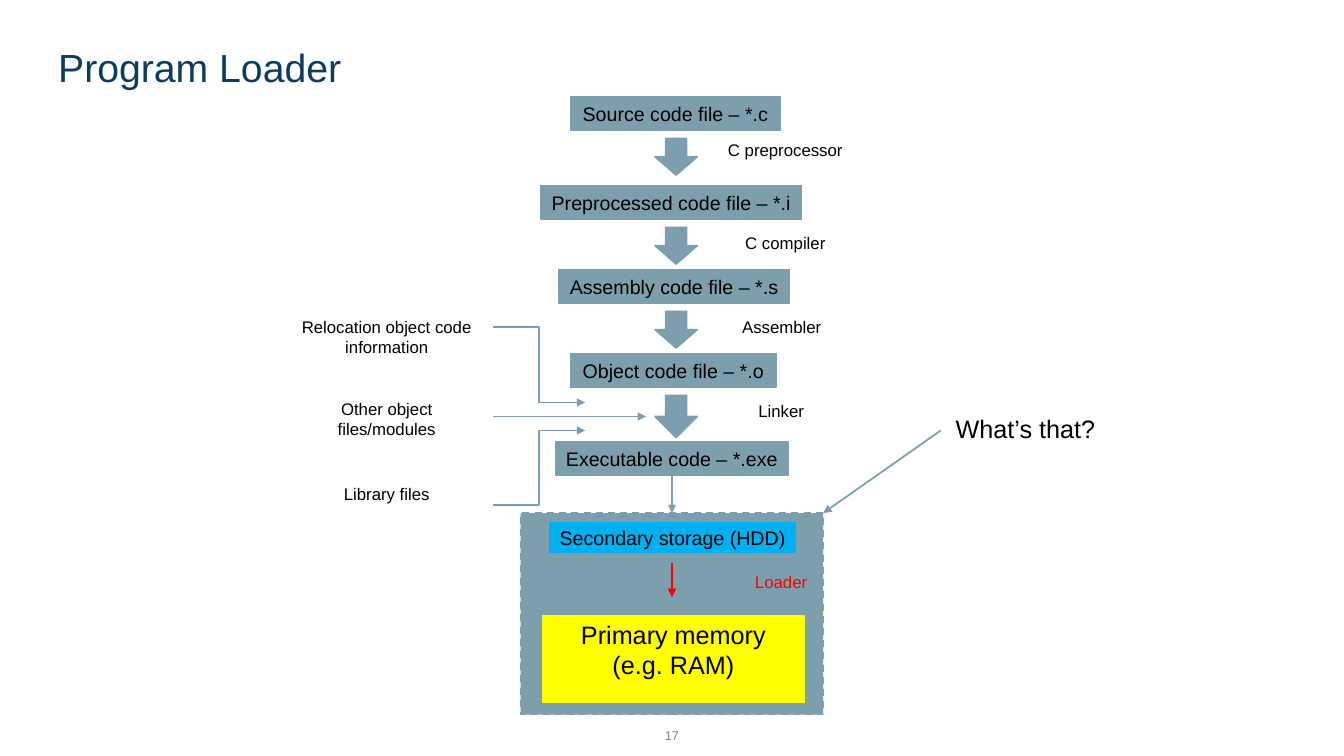
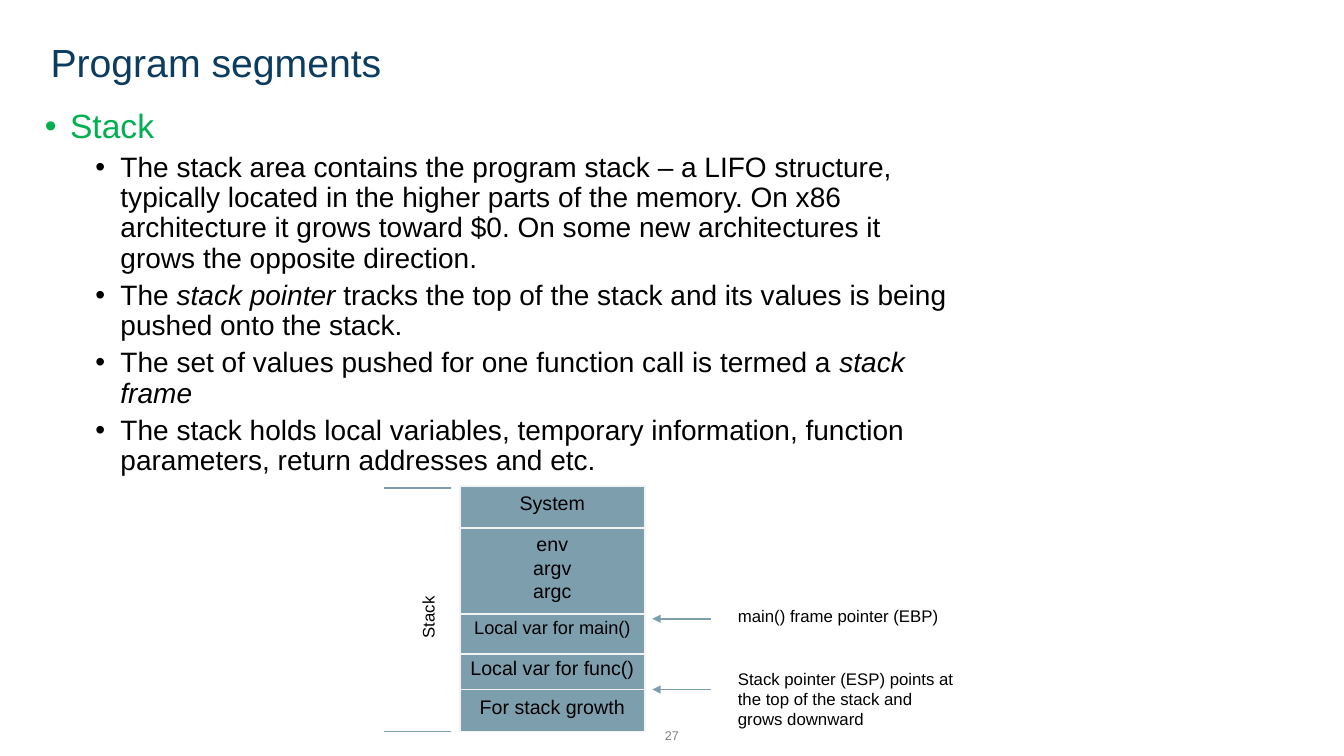
"""Build two slides on the program loader and the stack segment."""
from lxml.etree import SubElement
from pptx import Presentation
from pptx.dml.color import RGBColor
from pptx.enum.dml import MSO_LINE
from pptx.enum.shapes import MSO_CONNECTOR, MSO_SHAPE
from pptx.enum.text import MSO_ANCHOR, PP_ALIGN
from pptx.oxml.ns import qn
from pptx.util import Pt

FONT = "Arial"
STEEL, NAVY, GRAY, BLACK = "7D9EAD", "0C3D60", "808080", "000000"
RED, GREEN, BLUE, YELLOW, PALE = "FF0000", "00B050", "00B0F0", "FFFF00", "F3F3F3"
LINE_WIDTH = Pt(1.25)
CENTER = 480


def add_box(slide, left, top, width, height, lines=(), size=14, color=BLACK, fill=None,
            outline=STEEL, kind=MSO_SHAPE.RECTANGLE, align=PP_ALIGN.CENTER, anchor=MSO_ANCHOR.TOP):
    """Add a filled shape, or a plain text box when there is no fill."""
    place = Pt(left), Pt(top), Pt(width), Pt(height)
    if fill:
        shape = slide.shapes.add_shape(kind, *place)
        shape.shadow.inherit = False
        shape.fill.solid()
        shape.fill.fore_color.rgb = RGBColor.from_string(fill)
        shape.line.color.rgb = RGBColor.from_string(outline)
        shape.line.width = LINE_WIDTH
        shape.text_frame.margin_left = shape.text_frame.margin_right = Pt(4)
    else:
        shape = slide.shapes.add_textbox(*place)
    frame = shape.text_frame
    frame.word_wrap = True
    frame.vertical_anchor = anchor
    for index, line in enumerate(lines):
        paragraph = frame.add_paragraph() if index else frame.paragraphs[0]
        paragraph.alignment = align
        run = paragraph.add_run()
        run.text = line
        run.font.name = FONT
        run.font.size = Pt(size)
        run.font.color.rgb = RGBColor.from_string(color)
    return shape


def add_line(slide, start, end, color=STEEL, kind=MSO_CONNECTOR.STRAIGHT, arrow=True):
    """Add a connector, with an arrowhead at its end unless told otherwise."""
    connector = slide.shapes.add_connector(kind, *map(Pt, start + end))
    connector.line.color.rgb = RGBColor.from_string(color)
    connector.line.width = LINE_WIDTH
    if arrow:
        SubElement(connector.line._get_or_add_ln(), qn("a:tailEnd"), type="triangle")
    SubElement(connector._element.spPr, qn("a:effectLst"))
    return connector


presentation = Presentation()
presentation.slide_width = Pt(960)
presentation.slide_height = Pt(540)

slides = []
for title, number, left, top in [("Program Loader", "17", 34.5, 18), ("Program segments", "27", 29, 14.5)]:
    slide = presentation.slides.add_slide(presentation.slide_layouts[6])
    title_box = add_box(slide, left, top, 794, 63.5, [title], 28, NAVY,
                        align=PP_ALIGN.LEFT, anchor=MSO_ANCHOR.MIDDLE)
    title_box.text_frame.paragraphs[0].line_spacing = 0.9
    add_box(slide, 372, 510.5, 216, 29, [number], 9, GRAY, anchor=MSO_ANCHOR.MIDDLE)
    slides.append(slide)
loader_slide, stack_slide = slides

memory_region = add_box(loader_slide, 372, 366.5, 216, 144, fill=STEEL)
memory_region.line.dash_style = MSO_LINE.DASH

stages = [
    ("Source code file – *.c", 407.5, 69, 150),
    ("Preprocessed code file – *.i", 386.5, 132.5, 186),
    ("Assembly code file – *.s", 399, 192.5, 165),
    ("Object code file – *.o", 407.5, 252.5, 147),
    ("Executable code – *.exe", 397, 315.5, 166),
]
for text, left, top, width in stages:
    stage_box = add_box(loader_slide, left, top, width, 24, [text], fill=STEEL)

tools = [
    ("C preprocessor", 510, 96.5, 26),
    ("C compiler", 510, 162.5, 26),
    ("Assembler", 507.5, 222.5, 26),
    ("Linker", 507, 282.5, 30),
]
for (text, left, top, height), stage in zip(tools, stages):
    add_box(loader_slide, 468, stage[2] + 30, 30, height, fill=STEEL, kind=MSO_SHAPE.DOWN_ARROW)
    add_box(loader_slide, left, top, 102, 22, [text], 12)

add_box(loader_slide, 391.5, 372, 178, 24, ["Secondary storage (HDD)"], fill=BLUE)
storing = add_line(loader_slide, (CENTER, 339.5), (CENTER, 366.5))
storing.begin_connect(stage_box, 2)
storing.end_connect(memory_region, 0)
add_line(loader_slide, (CENTER, 402.5), (CENTER, 426.5), RED)
add_box(loader_slide, 507, 404.5, 102, 22, ["Loader"], 12, RED)
add_box(loader_slide, 386.5, 438.5, 189, 64, ["Primary memory", "(e.g. RAM)"], 18, fill=YELLOW)

linker_inputs = [
    ("Relocation object code information", 222.5, 36, 233.5, (418, 287.5), MSO_CONNECTOR.ELBOW),
    ("Other object files/modules", 281.5, 36, 297.5, (461.5, 297.5), MSO_CONNECTOR.STRAIGHT),
    ("Library files", 342, 22, 361, (418, 307.5), MSO_CONNECTOR.ELBOW),
]
for text, top, height, start, end, kind in linker_inputs:
    add_line(loader_slide, (352, start), end, kind=kind)
    add_box(loader_slide, 201, top, 150.5, height, [text], 12)

add_line(loader_slide, (672, 307.5), (588, 366.5))
add_box(loader_slide, 669.5, 291.5, 126, 29, ["What’s that?"], 18)

bullets = [
    (0, [("Stack", False)]),
    (1, [("The stack area contains the program stack – a LIFO structure, typically located in the "
          "higher parts of the memory. On x86 architecture it grows toward $0. On some new "
          "architectures it grows the opposite direction.", False)]),
    (1, [("The ", False), ("stack pointer", True),
         (" tracks the top of the stack and its values is being pushed onto the stack.", False)]),
    (1, [("The set of values pushed for one function call is termed a ", False), ("stack frame", True)]),
    (1, [("The stack holds local variables, temporary information, function parameters, "
          "return addresses and etc.", False)]),
]
body = add_box(stack_slide, 25, 75, 669.5, 415.5).text_frame
for index, (level, runs) in enumerate(bullets):
    paragraph = body.add_paragraph() if index else body.paragraphs[0]
    properties = paragraph._p.get_or_add_pPr()
    properties.set("marL", str(Pt(18 + 36 * level)))
    properties.set("indent", str(Pt(-18)))
    SubElement(properties, qn("a:buFont"), typeface=FONT)
    SubElement(properties, qn("a:buChar"), char="•")
    paragraph.level = level
    paragraph.line_spacing = 0.9
    paragraph.space_before = Pt(5 if index else 0)
    for text, italic in runs:
        run = paragraph.add_run()
        run.text = text
        run.font.name = FONT
        run.font.size = Pt(20 if level else 24)
        run.font.italic = italic
        run.font.color.rgb = RGBColor.from_string(BLACK if level else GREEN)

segments = [
    (["Local var for func()"], 465, 30, 14),
    (["For stack growth"], 492.5, 30, 14),
    (["Local var for main()"], 437, 30, 13),
    (["env", "argv", "argc"], 376.5, 62, 14),
    (["System"], 347, 30, 14),
]
for lines, top, height, size in segments:
    add_box(stack_slide, 328.5, top, 132, height, lines, size, fill=STEEL, outline=PALE)

for limit in (348.5, 522.5):
    add_line(stack_slide, (274.5, limit), (322.5, limit), arrow=False)
stack_label = add_box(stack_slide, 273, 419, 66, 22, ["Stack"], 12, align=PP_ALIGN.LEFT)
stack_label.rotation = 270

pointers = [
    ("main() frame pointer (EBP)", 442, 429, 22),
    ("Stack pointer (ESP) points at the top of the stack and grows downward", 492.5, 474, 51),
]
for text, arrow_top, top, height in pointers:
    add_line(stack_slide, (508, arrow_top), (466, arrow_top))
    add_box(stack_slide, 520, top, 174, height, [text], 12, align=PP_ALIGN.LEFT)

presentation.save("out.pptx")
